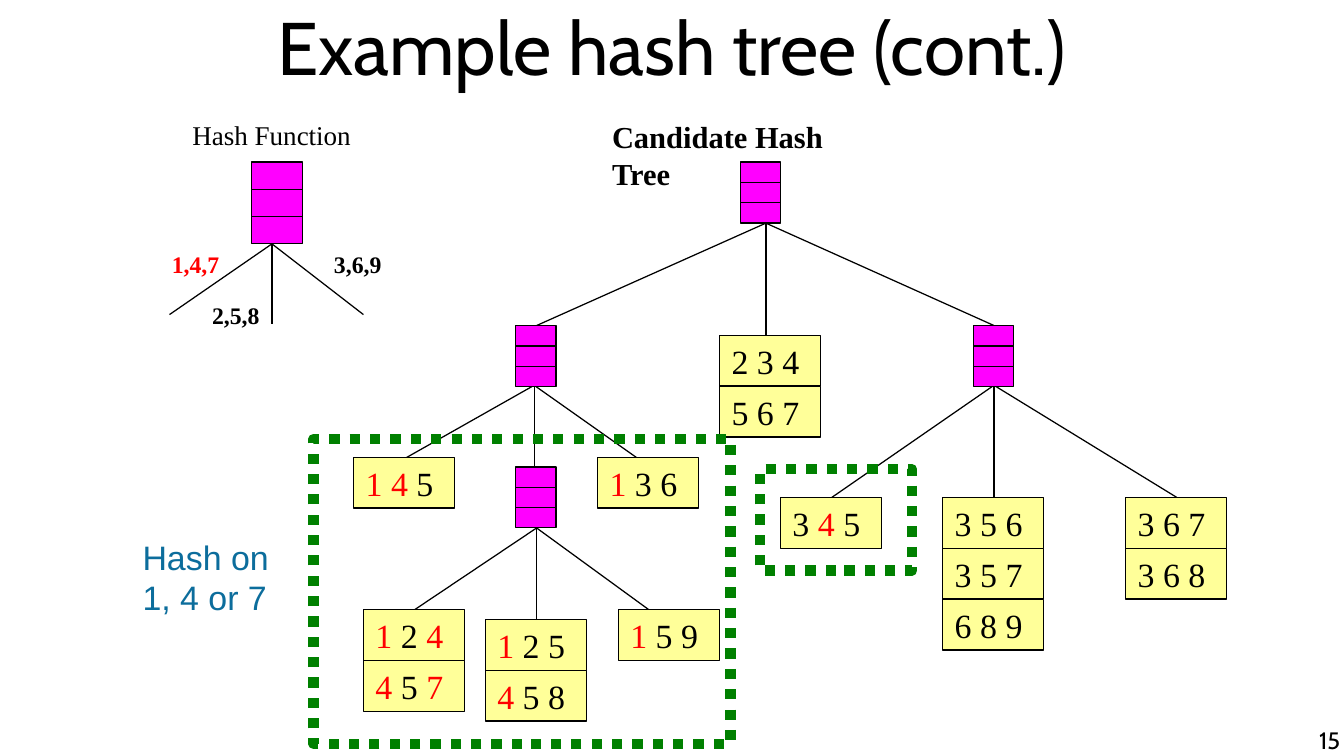
"""Build the slide that shows a candidate hash tree with the branch for 1, 4 or 7 framed."""
import pptx
import pptx.util
import pptx.dml.color
import pptx.enum.dml
import pptx.enum.shapes
import pptx.enum.text
from lxml import etree

Inches = pptx.util.Inches
ALIGN = pptx.enum.text.PP_ALIGN
ANCHOR = pptx.enum.text.MSO_ANCHOR

BLACK, RED, MAGENTA, YELLOW = "000000", "FF0000", "FF00FF", "FFFF99"
GREEN, BLUE = "008000", "0C6D9C"
SERIF, TITLE_FONT = "Times New Roman", "Cabin"
HASHED = "147"
LEAF_WIDTH, LEAF_HEIGHT = 0.83, 0.417

TITLE = "Example hash tree (cont.)"
NODES = [
    (6.07, 1.33, 0.33, 0.5),
    (4.23, 2.67, 0.33, 0.5),
    (7.98, 2.67, 0.33, 0.5),
    (4.23, 3.83, 0.33, 0.5),
    (2.06, 1.33, 0.42, 0.67),
]
BRANCHES = [
    ((6.28, 1.83), [(4.4, 2.67), (6.28, 2.75), (8.15, 2.67)]),
    ((4.38, 3.16), [(3.32, 3.76), (4.38, 3.83), (5.23, 3.76)]),
    ((8.15, 3.16), [(6.82, 4.08), (8.15, 4.08), (9.65, 4.08)]),
    ((4.4, 4.33), [(3.4, 5), (4.4, 5.08), (5.32, 5)]),
    ((2.23, 2), [(1.39, 2.58), (2.23, 2.66), (2.98, 2.58)]),
]
LEAVES = [
    (2.9, 3.75, True, ["1 4 5"]),
    (4.9, 3.75, True, ["1 3 6"]),
    (2.98, 5, True, ["1 2 4", "4 5 7"]),
    (3.98, 5.08, True, ["1 2 5", "4 5 8"]),
    (5.07, 5, True, ["1 5 9"]),
    (6.4, 4.08, True, ["3 4 5"]),
    (5.9, 2.75, False, ["2 3 4", "5 6 7"]),
    (7.73, 4.08, False, ["3 5 6", "3 5 7", "6 8 9"]),
    (9.23, 4.08, False, ["3 6 7", "3 6 8"]),
]
LABELS = [
    ((1.48, 0.92, 1.5, 0.37), "Hash Function", 16, SERIF, BLACK, False),
    ((4.92, 0.92, 2.46, 0.4), "Candidate Hash Tree", 18, SERIF, BLACK, True),
    ((1.31, 2, 0.59, 0.33), "1,4,7", 14, SERIF, RED, True),
    ((1.64, 2.42, 0.59, 0.33), "2,5,8", 14, SERIF, BLACK, True),
    ((2.64, 2, 0.59, 0.33), "3,6,9", 14, SERIF, BLACK, True),
    ((1.07, 4.35, 1.25, 0.77), "Hash on 1, 4 or 7", 20, "Arial", BLUE, False),
]
FRAMES = [(2.57, 3.6, 3.42, 2.5), (6.23, 3.85, 1.25, 0.83)]
SLIDE_NUMBER = "15"


def color(hex_string):
    return pptx.dml.color.RGBColor.from_string(hex_string)


def add_run(paragraph, text, size, font_name, hex_string, bold=False):
    run = paragraph.add_run()
    run.text = text
    run.font.size = pptx.util.Pt(size)
    run.font.name = font_name
    run.font.bold = bold
    run.font.color.rgb = color(hex_string)


def set_margins(frame, horizontal, vertical):
    frame.margin_left = frame.margin_right = Inches(horizontal)
    frame.margin_top = frame.margin_bottom = Inches(vertical)


def add_box(slide, box, fill=None, line=BLACK, width=0.75):
    kind = pptx.enum.shapes.MSO_SHAPE.RECTANGLE
    shape = slide.shapes.add_shape(kind, *map(Inches, box))
    shape.shadow.inherit = False
    if fill:
        shape.fill.solid()
        shape.fill.fore_color.rgb = color(fill)
    else:
        shape.fill.background()
    shape.line.color.rgb = color(line)
    shape.line.width = pptx.util.Pt(width)
    return shape


def add_line(slide, start, end):
    kind = pptx.enum.shapes.MSO_CONNECTOR.STRAIGHT
    connector = slide.shapes.add_connector(kind, *map(Inches, start + end))
    connector.line.color.rgb = color(BLACK)
    connector.line.width = pptx.util.Pt(0.75)
    namespace = pptx.oxml.ns.qn("a:effectLst")
    etree.SubElement(connector.element.spPr, namespace)


def add_node(slide, left, top, width, height):
    add_box(slide, (left, top, width, height), MAGENTA)
    for third in (1, 2):
        y = top + height * third / 3
        add_line(slide, (left, y), (left + width, y))


def add_leaf(slide, left, top, framed, itemsets):
    for row, itemset in enumerate(itemsets):
        box = (left, top + row * LEAF_HEIGHT, LEAF_WIDTH, LEAF_HEIGHT)
        frame = add_box(slide, box, YELLOW).text_frame
        set_margins(frame, 0.1, 0)
        frame.word_wrap = False
        frame.vertical_anchor = ANCHOR.MIDDLE
        paragraph = frame.paragraphs[0]
        paragraph.alignment = ALIGN.LEFT
        for position, digit in enumerate(itemset.split()):
            if position:
                add_run(paragraph, " ", 20, SERIF, BLACK)
            add_run(paragraph, digit, 20, SERIF, RED if framed and digit in HASHED else BLACK)


def add_label(slide, box, text, size, font_name, hex_string, bold):
    frame = slide.shapes.add_textbox(*map(Inches, box)).text_frame
    frame.word_wrap = font_name != SERIF
    add_run(frame.paragraphs[0], text, size, font_name, hex_string, bold)
    return frame


def add_title(slide):
    title = slide.shapes.title
    title.left, title.top, title.width, title.height = map(Inches, (0.55, -0.04, 9.92, 0.83))
    frame = title.text_frame
    set_margins(frame, 0, 0)
    frame.vertical_anchor = ANCHOR.MIDDLE
    frame.paragraphs[0].alignment = ALIGN.CENTER
    add_run(frame.paragraphs[0], TITLE, 44, TITLE_FONT, BLACK)


def main():
    presentation = pptx.Presentation()
    presentation.slide_width, presentation.slide_height = Inches(11.02), Inches(6.2)
    slide = presentation.slides.add_slide(presentation.slide_layouts.get_by_name("Title Only"))
    add_title(slide)
    for start, ends in BRANCHES:
        for end in ends:
            add_line(slide, start, end)
    for node in NODES:
        add_node(slide, *node)
    for leaf in LEAVES:
        add_leaf(slide, *leaf)
    for label in LABELS:
        add_label(slide, *label)
    for box in FRAMES:
        frame = add_box(slide, box, line=GREEN, width=6)
        frame.line.dash_style = pptx.enum.dml.MSO_LINE.ROUND_DOT
    number = add_label(slide, (8.42, 5.95, 2.57, 0.25), SLIDE_NUMBER, 14, TITLE_FONT, BLACK, False)
    set_margins(number, 0, 0)
    number.paragraphs[0].alignment = ALIGN.RIGHT
    presentation.save("out.pptx")


if __name__ == "__main__":
    main()
